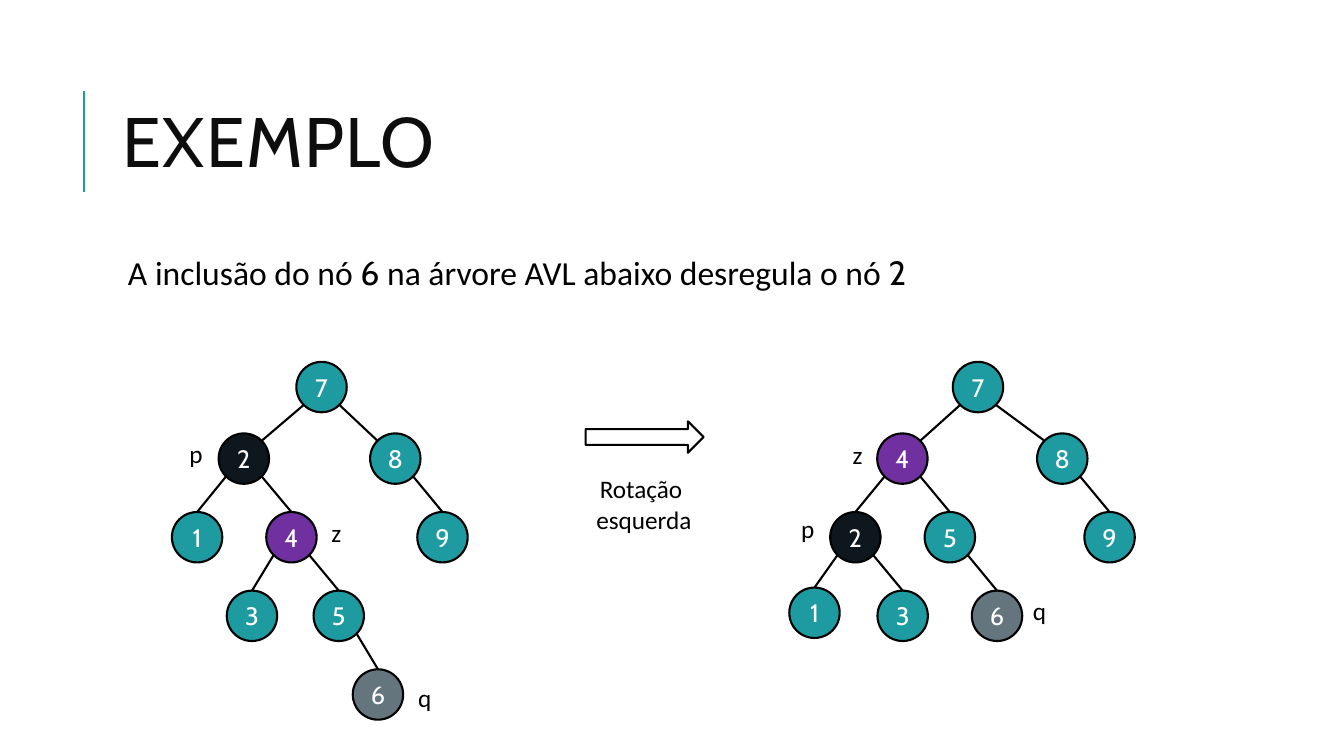
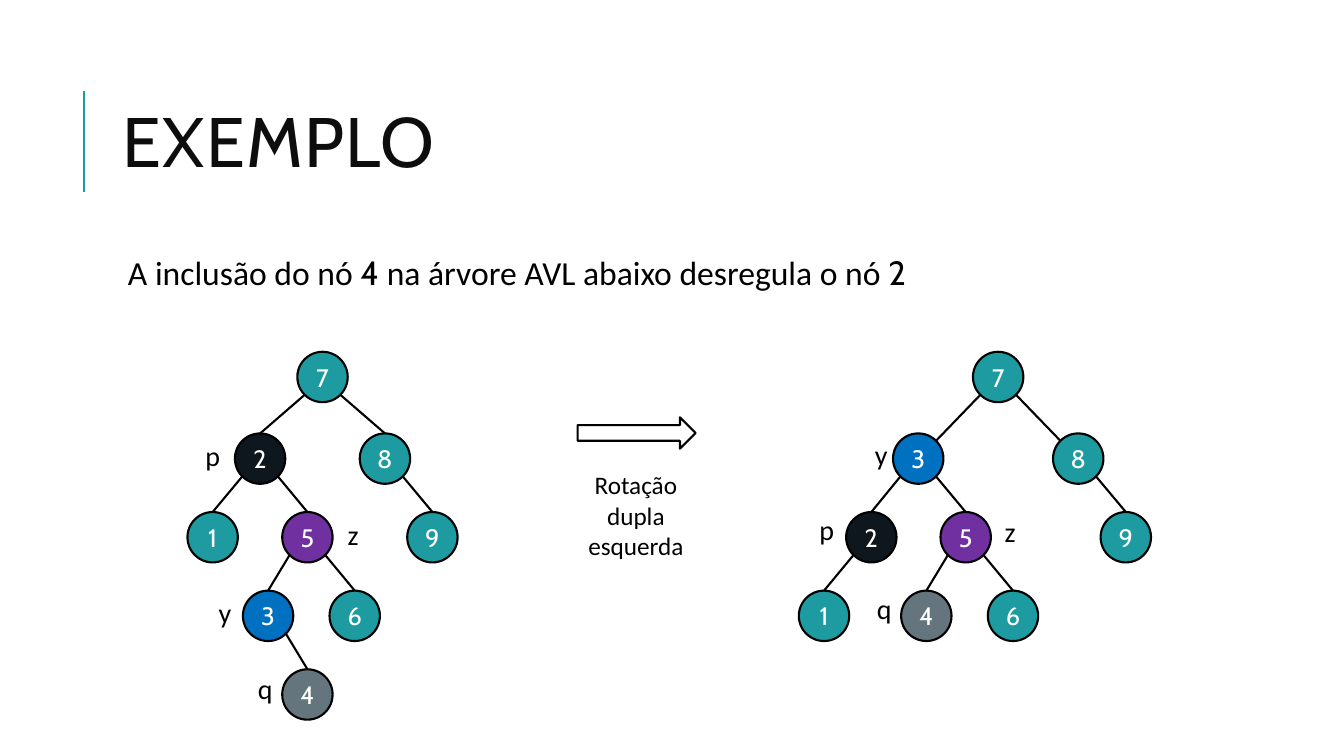
from pptx import Presentation
from pptx.dml.color import RGBColor
from pptx.enum import shapes, text
from pptx.oxml import xmlchemy as xc
from pptx.util import Pt
from lxml import etree

COLORS = {"teal": "1D9BA1", "navy": "0D171D", "purple": "7030A0", "gray": "65757D",
          "blue": "0070C0", "title": "0D0D0D", "black": "000000", "white": "FFFFFF"}
HEAD, BODY = "Cabin", "Calibri"
SIZE = 36                       # node diameter
DIAG = SIZE / 2 * 0.7071        # offset from a node's centre to its diagonal points
TOP, STEP = 309.6, 56.16        # first row below the root, and the row pitch
A_NS = "http://schemas.openxmlformats.org/drawingml/2006/main"


def rgb(name):
    return RGBColor.from_string(COLORS[name])


def write(tf, content, font=BODY, size=18, color="black", align=None, anchor=None,
          wrap=False, insets=None, line=None, before=None, after=None, spacing=None):
    """Fill a text frame; content is a string, or a list of (text, font) runs."""
    tf.word_wrap = wrap
    if anchor is not None:
        tf.vertical_anchor = anchor
    if insets is not None:
        tf.margin_left, tf.margin_top, tf.margin_right, tf.margin_bottom = map(Pt, insets)
    if isinstance(content, str):
        paragraphs = [[(row, font)] for row in content.split("\n")]
    else:
        paragraphs = [content]
    for i, runs in enumerate(paragraphs):
        p = tf.add_paragraph() if i else tf.paragraphs[0]
        p.alignment, p.line_spacing = align, line
        if before is not None:
            p.space_before = Pt(before)
        if after is not None:
            p.space_after = Pt(after)
        for words, face in runs:
            r = p.add_run()
            r.text = words
            r.font.name, r.font.size = face, Pt(size)
            r.font.color.rgb = rgb(color)
            if spacing:
                r.font._element.set("spc", str(spacing * 100))


class Deck:
    """Holds the shared style and the slide being drawn."""

    def __init__(self):
        self.prs = Presentation()
        self.prs.slide_width, self.prs.slide_height = Pt(960), Pt(540)
        self.s = None

    def slide(self, title, body):
        self.s = self.prs.slides.add_slide(self.prs.slide_layouts[6])
        self.line((60, 136.8), (60, 64.8), "teal")
        self.label(title, 80.64, 46.08, 765.4, 118, font=HEAD, size=50, color="title",
                   anchor=text.MSO_ANCHOR.MIDDLE, wrap=True, line=0.8, spacing=1)
        self.label(body, 80.64, 180, 765.4, 316.8, size=24, wrap=True,
                   insets=(10.8, 3.6, 3.6, 3.6), line=0.9, before=12, after=2)

    def label(self, content, x, y, w, h, **fmt):
        sp = self.s.shapes.add_textbox(Pt(x), Pt(y), Pt(w), Pt(h))
        write(sp.text_frame, content, **fmt)

    def line(self, start, end, color="black"):
        c = self.s.shapes.add_connector(shapes.MSO_CONNECTOR.STRAIGHT,
                                        *map(Pt, (*start, *end)))
        c.line.color.rgb, c.line.width = rgb(color), Pt(1.5)
        etree.SubElement(c._element.spPr, f"{{{A_NS}}}effectLst")
        return c

    def shape(self, kind, x, y, w, h, fill=None):
        sp = self.s.shapes.add_shape(kind, Pt(x), Pt(y), Pt(w), Pt(h))
        sp.shadow.inherit = False
        sp.line.color.rgb, sp.line.width = rgb("black"), Pt(1.5)
        if fill:
            sp.fill.solid()
            sp.fill.fore_color.rgb = rgb(fill)
        else:
            sp.fill.background()
        return sp

    def node(self, key, x, y, color):
        sp = self.shape(shapes.MSO_SHAPE.OVAL, x, y, SIZE, SIZE, color)
        write(sp.text_frame, str(key), font=HEAD, color="white", insets=(0, 0, 0, 0),
              align=text.PP_ALIGN.CENTER, anchor=text.MSO_ANCHOR.MIDDLE)
        return sp

    def tree(self, root_y, nodes, special, diagonal=True, nudge=None):
        """Draw nodes given as (key, parent, row, left); root edges may end diagonally."""
        centres = {}
        for key, parent, row, x in nodes:
            y = TOP + STEP * (row - 1) if row else root_y
            y += (nudge or {}).get(key, 0)
            sp = self.node(key, x, y, special.get(key, "teal"))
            cx, cy = centres[key] = x + SIZE / 2, y + SIZE / 2
            if parent is None:
                continue
            px, py = centres[parent]
            side = DIAG if cx > px else -DIAG
            start = px + side, py + DIAG
            if row == 1 and diagonal:
                self.line(start, (cx - side, cy - DIAG))
            else:
                self.line(start, (cx, y)).end_connect(sp, 0)

    def pointers(self, size, *marks):
        for name, x, y in marks:
            self.label(name, x, y, size * 1.3, size * 1.6, size=size)

    def rotation(self, caption, x, y):
        self.shape(shapes.MSO_SHAPE.RIGHT_ARROW, x, y, 84.3, 22.4)
        self.label(caption, x, y + 33.8, 83.2, 25 + 21.6 * caption.count("\n"),
                   align=text.PP_ALIGN.CENTER)


def sentence(added):
    return [("A inclusão do nó ", BODY), (added, HEAD),
            (" na árvore AVL abaixo desregula o nó ", BODY), ("2", HEAD)]


def main():
    deck = Deck()

    # Single rotation
    deck.slide("EXEMPLO", sentence("6"))
    special = {2: "navy", 4: "purple", 6: "gray"}
    deck.tree(258.5, [(7, None, 0, 211.7), (2, 7, 1, 156.2), (8, 7, 1, 264.4),
                      (1, 2, 2, 122.8), (4, 2, 2, 190.2), (9, 8, 2, 298.1),
                      (3, 4, 3, 162), (5, 4, 3, 224), (6, 5, 4, 252)], special)
    deck.tree(258.5, [(7, None, 0, 680.6), (4, 7, 1, 626.6), (8, 7, 1, 740.8),
                      (2, 4, 2, 593), (5, 4, 2, 660.5), (9, 8, 2, 774.6),
                      (1, 2, 3, 563.8), (3, 2, 3, 626.8), (6, 5, 3, 694.2)],
              special, nudge={1: -2.2})
    deck.pointers(18, ("p", 128.2, 309.6), ("z", 229.7, 365.8), ("q", 291.6, 483.8),
                  ("z", 601.9, 310.3), ("q", 730.8, 421.9), ("p", 565.2, 362.9))
    deck.rotation("Rotação \nesquerda", 418.3, 301)

    # Double rotation
    deck.slide("EXEMPLO", sentence("4"))
    special = {2: "navy", 5: "purple", 3: "blue", 4: "gray"}
    deck.tree(251.3, [(7, None, 0, 212.4), (2, 7, 1, 167.8), (8, 7, 1, 257),
                      (1, 2, 2, 133.9), (5, 2, 2, 201.6), (9, 8, 2, 290.9),
                      (3, 5, 3, 173.5), (6, 5, 3, 235.4), (4, 3, 4, 201.6)],
              special, diagonal=False)
    deck.tree(251.3, [(7, None, 0, 695), (3, 7, 1, 637.9), (8, 7, 1, 752.2),
                      (2, 3, 2, 604.4), (5, 3, 2, 671.8), (9, 8, 2, 786.2),
                      (1, 2, 3, 570.6), (4, 5, 3, 643.7), (6, 5, 3, 705.6)], special)
    deck.pointers(20, ("p", 139.7, 309.6), ("z", 241.2, 365.8), ("y", 149, 421.9),
                  ("q", 177.1, 475.9), ("p", 578.2, 362.2), ("z", 710.6, 363.6),
                  ("y", 617.8, 308.9), ("q", 619.2, 419))
    deck.rotation("Rotação\ndupla\nesquerda", 412.6, 298.1)

    deck.prs.save("out.pptx")


if __name__ == "__main__":
    main()
